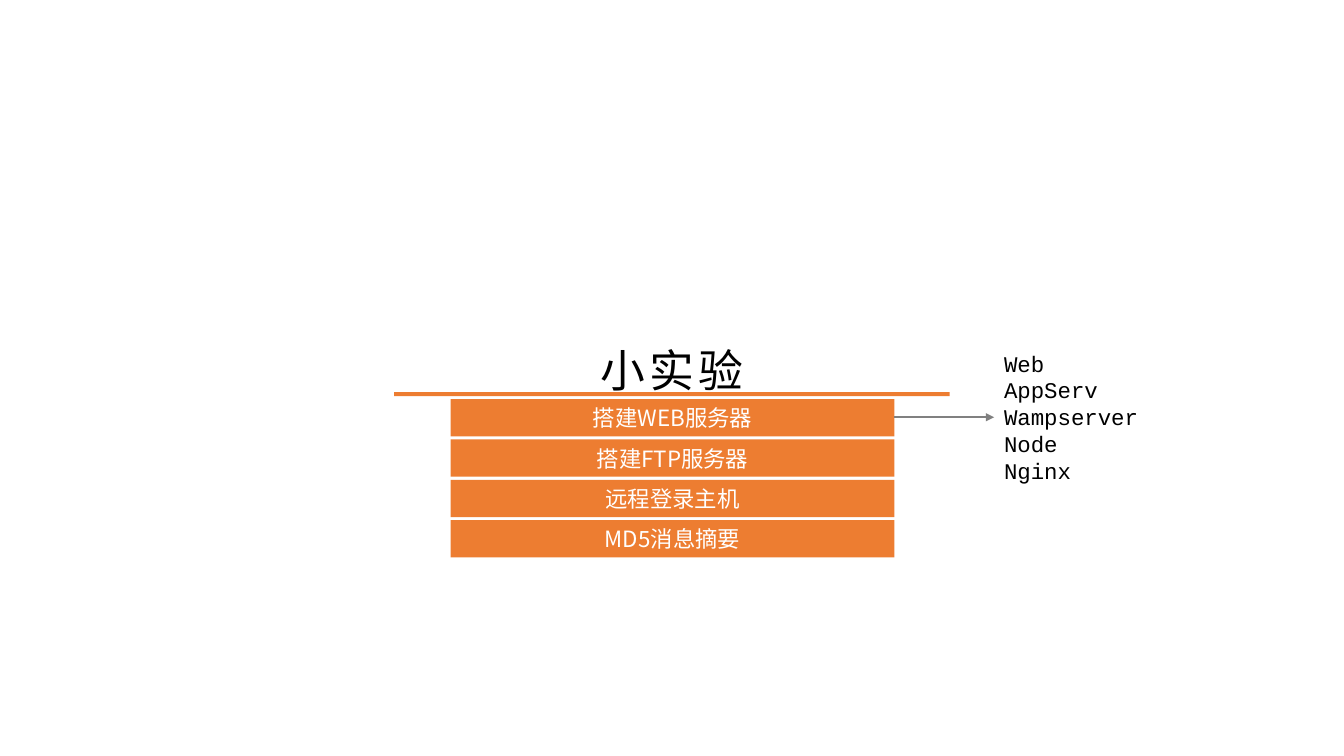
from lxml.etree import SubElement
from pptx import Presentation
from pptx.dml.color import RGBColor
from pptx.enum.shapes import MSO_CONNECTOR, MSO_SHAPE
from pptx.enum.text import MSO_ANCHOR, MSO_AUTO_SIZE, PP_ALIGN
from pptx.oxml.ns import qn
from pptx.util import Inches, Pt

COLORS = {"orange": "ED7D31", "gray": "808080", "black": "000000", "white": "FFFFFF"}
CHINESE_FONT = "Noto Sans CJK SC"
CODE_FONT = "Courier New"
EXPERIMENTS = ["搭建WEB服务器", "搭建FTP服务器", "远程登录主机", "MD5消息摘要"]
SERVERS = ["Web", "AppServ", "Wampserver", "Node", "Nginx"]


def color(name):
    return RGBColor.from_string(COLORS[name])


def write(frame, lines, size, font_name, ink, align, spacing=0):
    for index, line in enumerate(lines):
        para = frame.paragraphs[0] if index == 0 else frame.add_paragraph()
        para.text = line
        para.alignment = align
        font = para.font
        font.size = Pt(size)
        font.color.rgb = color(ink)
        font.name = font_name
        properties = para._p.pPr.find(qn("a:defRPr"))
        SubElement(properties, qn("a:ea"), typeface=font_name)
        if spacing:
            for span in para.runs:
                span._r.get_or_add_rPr().set("spc", str(spacing * 100))


def add_label(page, left, top, width, height, lines, size, font_name, align, spacing=0):
    box = page.shapes.add_textbox(Inches(left), Inches(top), Inches(width), Inches(height))
    box.text_frame.word_wrap = False
    box.text_frame.auto_size = MSO_AUTO_SIZE.SHAPE_TO_FIT_TEXT
    write(box.text_frame, lines, size, font_name, "black", align, spacing)


def add_bar(page, left, top, width, height):
    bar = page.shapes.add_shape(
        MSO_SHAPE.RECTANGLE, Inches(left), Inches(top), Inches(width), Inches(height))
    bar.shadow.inherit = False
    bar.fill.solid()
    bar.fill.fore_color.rgb = color("orange")
    bar.line.fill.background()
    return bar


def add_heading(page, left, top, width):
    title_width = 1.67
    add_label(page, left + (width - title_width) / 2, top, title_width, 0.64,
              ["小实验"], 32, CHINESE_FONT, PP_ALIGN.CENTER, 3)
    add_bar(page, left, top + 0.54, width, 0.04)


def add_experiments(page, left, top, width):
    for index, name in enumerate(EXPERIMENTS):
        bar = add_bar(page, left, top + index * 0.4, width, 0.37)
        bar.text_frame.vertical_anchor = MSO_ANCHOR.MIDDLE
        write(bar.text_frame, [name], 16, CHINESE_FONT, "white", PP_ALIGN.CENTER)


def add_servers(page, left, middle, arrow_length):
    arrow = page.shapes.add_connector(
        MSO_CONNECTOR.STRAIGHT, Inches(left), Inches(middle),
        Inches(left + arrow_length), Inches(middle))
    arrow.line.color.rgb = color("gray")
    arrow.line.width = Pt(1.5)
    SubElement(arrow.line._get_or_add_ln(), qn("a:tailEnd"), type="triangle")
    SubElement(arrow._element.spPr, qn("a:effectLst"))
    add_label(page, left + arrow_length, middle - 0.72, 1.55, 1.45,
              SERVERS, 16, CODE_FONT, PP_ALIGN.LEFT)


def main():
    deck = Presentation()
    deck.slide_width = Inches(13.33)
    deck.slide_height = Inches(7.5)
    page = deck.slides.add_slide(deck.slide_layouts[6])
    add_heading(page, 3.91, 3.35, 5.51)
    add_experiments(page, 4.47, 3.96, 4.4)
    add_servers(page, 8.87, 4.14, 0.99)
    deck.save("out.pptx")


if __name__ == "__main__":
    main()
